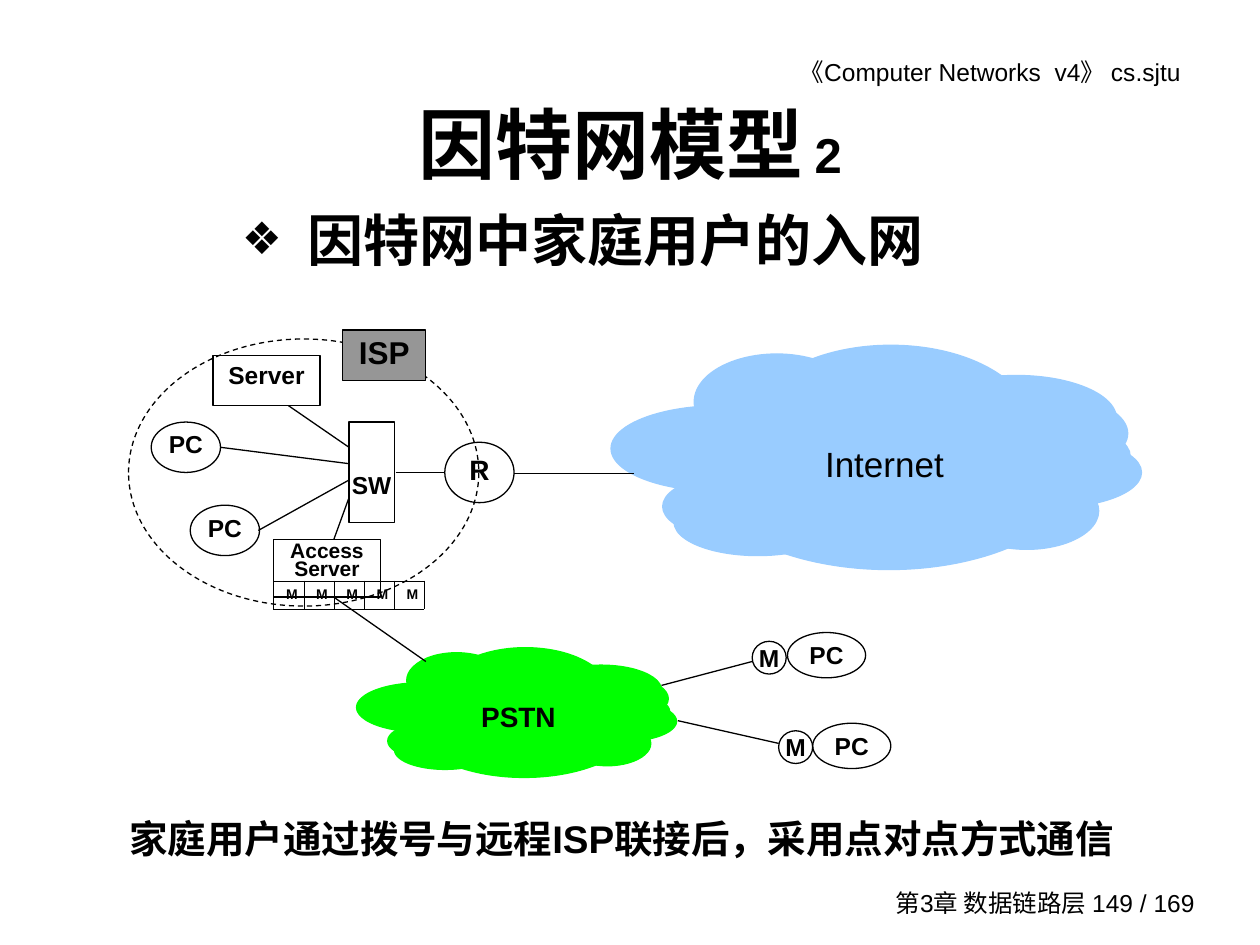
from lxml import etree
from pptx import Presentation
from pptx.dml.color import RGBColor
from pptx.enum.dml import MSO_LINE
from pptx.enum.shapes import MSO_CONNECTOR, MSO_SHAPE
from pptx.enum.text import MSO_ANCHOR, MSO_AUTO_SIZE, PP_ALIGN
from pptx.oxml.ns import qn
from pptx.util import Pt

PX = 9144  # 100 px to the inch
RECT, OVAL = MSO_SHAPE.RECTANGLE, MSO_SHAPE.OVAL
TOP, MIDDLE = MSO_ANCHOR.TOP, MSO_ANCHOR.MIDDLE
LEFT, CENTER, RIGHT = PP_ALIGN.LEFT, PP_ALIGN.CENTER, PP_ALIGN.RIGHT
STRAIGHT = MSO_CONNECTOR.STRAIGHT
COLORS = {"ink": "000000", "internet": "99CCFF", "pstn": "00FF00", "isp": "969696"}
CJK_FONT = "Noto Sans CJK SC"


def write(box, spans, align=CENTER, anchor=MIDDLE, insets=(10, 5, 10, 5),
          wrap=True, spacing=None, bold=True):
    """Fill the box with one paragraph of (text, size) spans."""
    frame = box.text_frame
    sides = ("margin_left", "margin_top", "margin_right", "margin_bottom")
    values = {side: inset * PX for side, inset in zip(sides, insets)}
    values.update(auto_size=MSO_AUTO_SIZE.NONE, word_wrap=wrap, vertical_anchor=anchor)
    for name, value in values.items():
        setattr(frame, name, value)
    para = frame.paragraphs[0]
    para.alignment = align
    if spacing:
        para.line_spacing = spacing
    for text, size in spans:
        span = para.add_run()
        span.text = text
        for name, value in {"name": "Arial", "size": Pt(size), "bold": bold}.items():
            setattr(span.font, name, value)
        span.font.color.rgb = RGBColor.from_string(COLORS["ink"])
        east_asian = etree.SubElement(span.font._element, qn("a:ea"))
        east_asian.set("typeface", CJK_FONT)
    return para


def add_outlined(kind, place, fill=None, line="ink"):
    shape = slide.shapes.add_shape(kind, *(round(length * PX) for length in place))
    shape.shadow.inherit = False
    if fill:
        shape.fill.solid()
        shape.fill.fore_color.rgb = RGBColor.from_string(COLORS[fill])
    else:
        shape.fill.background()
    shape.line.color.rgb = RGBColor.from_string(COLORS[line])
    shape.line.width = Pt(0.75)
    return shape


deck = Presentation()
deck.slide_width, deck.slide_height = 1000 * PX, 750 * PX
slide = deck.slides.add_slide(deck.slide_layouts[1])

# Title and list
title, body = slide.placeholders
for holder, place in ((title, (75, 67, 850, 92)), (body, (182, 158, 652, 75))):
    for name, length in zip(("left", "top", "width", "height"), place):
        setattr(holder, name, length * PX)
write(title, [("因特网模型", 44), (" 2", 28)])
item = write(body, [("因特网中家庭用户的入网", 32)], align=LEFT, anchor=TOP)
item.space_before = Pt(0)
item_format = item._p.get_or_add_pPr()
item_format.set("marL", str(52 * PX))
item_format.set("indent", str(-52 * PX))
bullet_color = etree.SubElement(item_format, qn("a:buClr"))
etree.SubElement(bullet_color, qn("a:srgbClr")).set("val", COLORS["ink"])
etree.SubElement(item_format, qn("a:buSzPct")).set("val", "80000")
etree.SubElement(item_format, qn("a:buChar")).set("char", "❖")

# Clouds: the same lobes, stretched to each cloud's size
LOBES = [
    (66, 7, 131, 76), (0, 48, 174, 68), (50, 114, 133, 53), (41, 101, 133, 54),
    (68, 19, 305, 159), (58, 7, 305, 158), (251, 36, 159, 68), (242, 24, 159, 68),
    (278, 73, 143, 56), (269, 60, 143, 56), (273, 101, 114, 61), (263, 89, 114, 61),
    (109, 0, 226, 131),
]
CLOUD_WIDTH, CLOUD_HEIGHT = 421, 178
for color, left, top, width, height in (
    ("internet", 485, 274, 421, 178),
    ("pstn", 283, 514, 254, 103),
):
    across, down = width / CLOUD_WIDTH, height / CLOUD_HEIGHT
    for x, y, w, h in LOBES:
        place = (left + x * across, top + y * down, w * across, h * down)
        add_outlined(OVAL, place, color, color)

# Provider's network boundary
boundary = add_outlined(OVAL, (102, 269, 278, 212))
boundary.line.dash_style = MSO_LINE.DASH

# Links
for ends in (
    (314, 375, 353, 375), (175, 355, 277, 368), (229, 322, 277, 355),
    (205, 421, 277, 381), (265, 428, 277, 395), (265, 474, 338, 525),
    (525, 544, 597, 525), (538, 572, 618, 590), (408, 376, 503, 376),
):
    link = slide.shapes.add_connector(STRAIGHT, *(length * PX for length in ends))
    link.line.color.rgb = RGBColor.from_string(COLORS["ink"])
    link.line.width = Pt(0.75)
    etree.SubElement(link._element.spPr, qn("a:effectLst"))

# Devices: kind, place, label, size, fill, text format
LOW = {"insets": (0, 0, 0, 5)}
FLAT = {"insets": (0, 0, 0, 0)}
FREE = {"wrap": False}
for kind, place, label, size, fill, text_format in (
    (OVAL, (353, 351, 55, 48), "R", 16, None, {**LOW, **FREE}),
    (RECT, (277, 335, 36, 80), "SW", 14, None, {"insets": (0, 28, 0, 5), "spacing": 0.8}),
    (OVAL, (120, 335, 55, 40), "PC", 14, None, LOW),
    (OVAL, (151, 401, 55, 40), "PC", 14, None, LOW),
    (RECT, (169, 282, 85, 40), "Server", 14, None, {**LOW, "spacing": 0.8}),
    (RECT, (272, 262, 66, 40), "ISP", 18, "isp", LOW),
    (RECT, (217, 428, 85, 46), "Access Server", 12, None,
     {"insets": (0, 4, 0, 1), "spacing": 0.7, "anchor": TOP}),
    (OVAL, (645, 574, 62, 36), "PC", 14, None, FLAT),
    (OVAL, (625, 502, 62, 36), "PC", 14, None, FLAT),
    (OVAL, (597, 509, 27, 26), "M", 14, None, FREE),
    (OVAL, (618, 580, 27, 26), "M", 14, None, FREE),
):
    write(add_outlined(kind, place, fill), [(label, size)], **text_format)

# Free text
CLOUD_LABEL = {"insets": (2, 5, 2, 5), "spacing": 0.8}
for place, text, size, text_format in (
    ((527, 40, 431, 34), "《Computer Networks  v4》 cs.sjtu", 14,
     {"align": RIGHT, "anchor": TOP, "insets": (10, 5, 21, 5), "bold": False}),
    ((694, 700, 264, 33), "第3章 数据链路层 149 / 169", 14,
     {"align": RIGHT, "bold": False}),
    ((641, 353, 122, 40), "Internet", 20,
     {**CLOUD_LABEL, "anchor": TOP, "bold": False}),
    ((360, 553, 103, 36), "PSTN", 16, CLOUD_LABEL),
    ((93, 642, 831, 47), "家庭用户通过拨号与远程ISP联接后，采用点对点方式通信", 22,
     {"align": LEFT, "anchor": TOP, "wrap": False}),
):
    box = slide.shapes.add_textbox(*(length * PX for length in place))
    write(box, [(text, size)], **text_format)

# Modem bank under the access server
MODEMS, MODEM_WIDTH, MODEM_HEIGHT = 5, 17, 14
modem_bank = slide.shapes.add_table(
    1, MODEMS, 217 * PX, 461 * PX, MODEMS * MODEM_WIDTH * PX, MODEM_HEIGHT * PX).table
modem_bank.first_row = modem_bank.horz_banding = False
modem_bank.rows[0].height = MODEM_HEIGHT * PX
for column, cell in zip(modem_bank.columns, modem_bank.iter_cells()):
    column.width = MODEM_WIDTH * PX
    write(cell, [("M", 8)])
    cell_format = cell._tc.get_or_add_tcPr()
    for side in ("a:lnL", "a:lnR", "a:lnT", "a:lnB"):
        border = etree.SubElement(cell_format, qn(side), w=str(Pt(0.11)))
        border_fill = etree.SubElement(border, qn("a:solidFill"))
        etree.SubElement(border_fill, qn("a:srgbClr")).set("val", COLORS["ink"])
    cell.fill.background()

deck.save("out.pptx")
